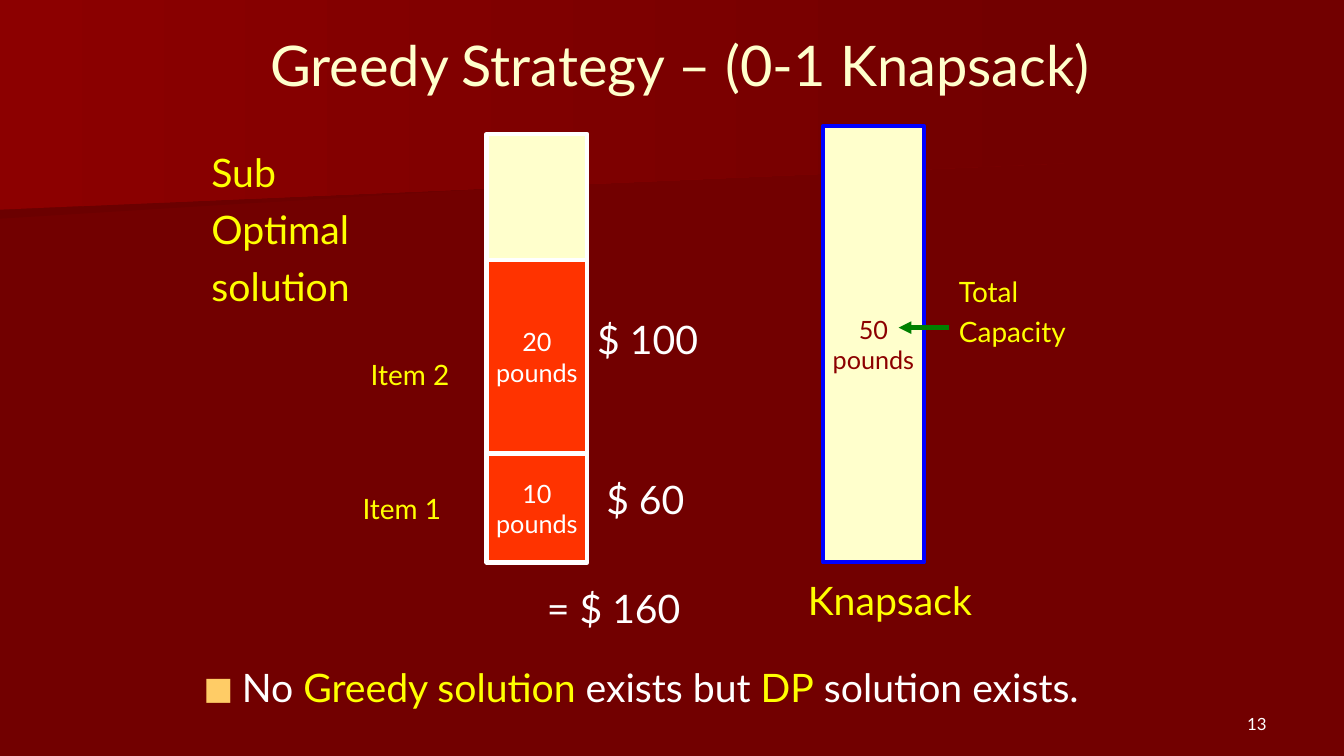
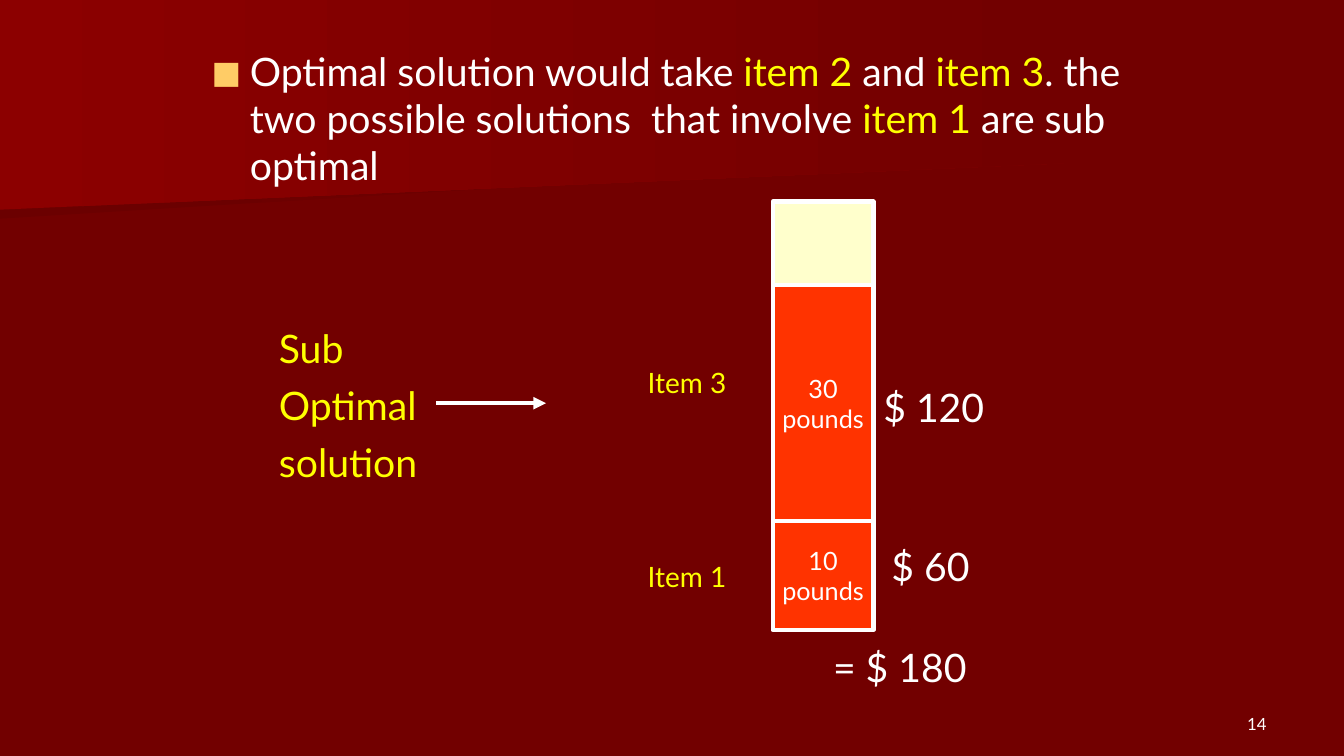
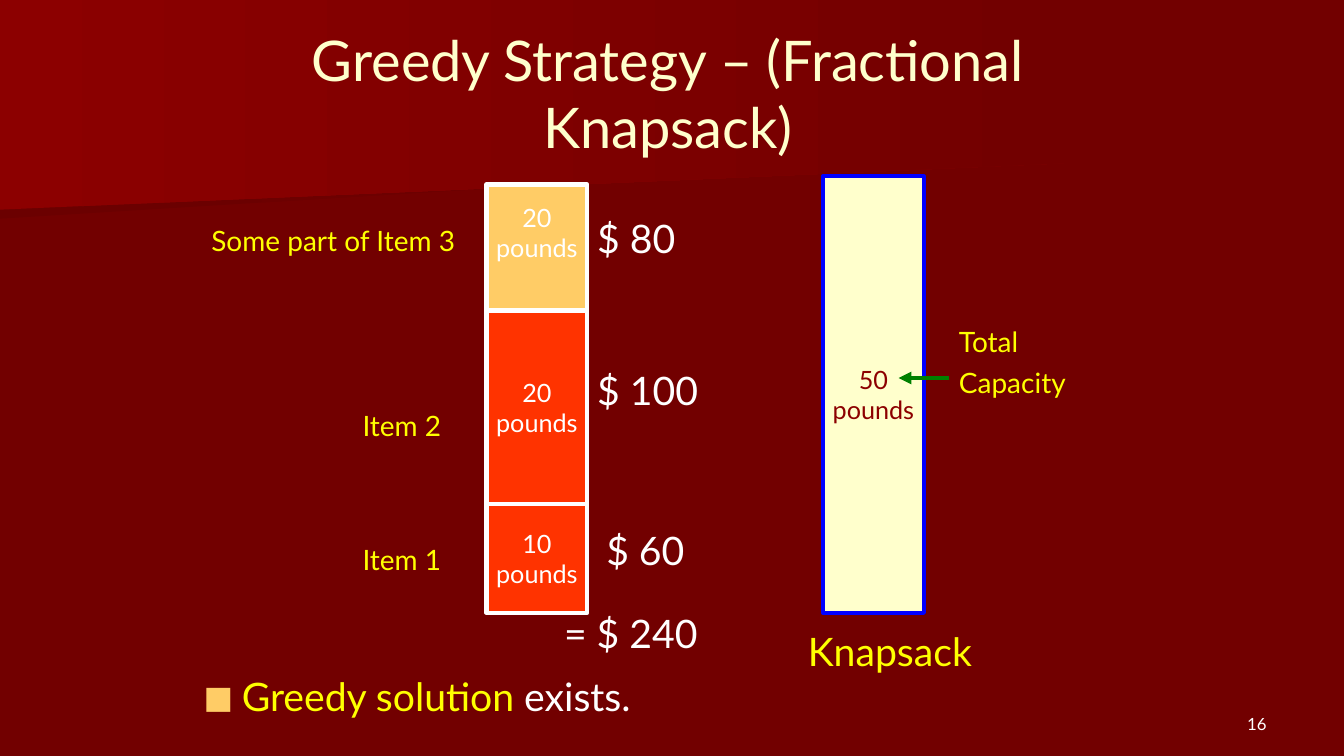
import pptx
import pptx.util
import pptx.dml.color
import pptx.enum.shapes
import pptx.enum.text
import pptx.oxml
import pptx.oxml.ns

PX = 9144
FONT = "Lato"
MAROON, WHITE, YELLOW, CREAM = "720000", "FFFFFF", "FFFF00", "FFFFCC"
RED, GOLD, BLUE, GREEN, DARK_RED = "FF3300", "FFCC66", "0000FF", "008000", "8C0000"
SPACE_BEFORE = {28: 7, 20: 5}
BLOCK_HEIGHT = {10: 108, 20: 192, 30: 234}
BAR_WIDTH, BAR_HEIGHT, CAP_HEIGHT = 100, 425, 125
KNAPSACK_LEFT, KNAPSACK_HEIGHT = 817, 433

BANDS = [
    ("6B0000", [(1037, 153), (0, 217), (0, 101), (1039, 101), (1037, 128)]),
    (DARK_RED, [(1056, 162), (0, 208), (0, 0), (1056, 0)]),
]
SUB_OPTIMAL = ["Sub", "Optimal", "solution"]

SLIDES = [
    {
        "number": "13",
        "title": ("Greedy Strategy – (0-1 Knapsack)", (225, 25, 900, 78)),
        "body": ([("No ", WHITE), ("Greedy solution", YELLOW), (" exists but ", WHITE),
                  ("DP", YELLOW), (" solution exists.", WHITE)], (192, 658, 950, 58), 0.9),
        "bar": (483, 133, [10, 20], CREAM, None),
        "knapsack_top": 125,
        "labels": [
            (["$ 60"], (592, 467, 100, 58), 28, WHITE),
            (["$ 100"], (583, 308, 133, 58), 28, WHITE),
            (["= $ 160"], (533, 575, 175, 58), 28, WHITE),
            (["Item 1"], (350, 483, 108, 58), 20, YELLOW),
            (["Item 2"], (358, 350, 125, 58), 20, YELLOW),
            (SUB_OPTIMAL, (200, 142, 158, 175), 28, YELLOW),
        ],
    },
    {
        "number": "14",
        "body": ([("Optimal solution would take ", WHITE), ("item 2", YELLOW), (" and ", WHITE),
                  ("item 3", YELLOW), (". the two possible solutions  that involve ", WHITE),
                  ("item 1", YELLOW), (" are sub optimal", WHITE)], (200, 42, 933, 167), 1.0),
        "bar": (767, 200, [10, 30], CREAM, None),
        "labels": [
            (["$ 60"], (875, 533, 100, 58), 28, WHITE),
            (["$ 120"], (867, 375, 133, 58), 28, WHITE),
            (["= $ 180"], (817, 633, 175, 58), 28, WHITE),
            (["Item 1"], (633, 550, 108, 58), 20, YELLOW),
            (["Item 3"], (633, 358, 125, 58), 20, YELLOW),
            (SUB_OPTIMAL, (267, 317, 158, 175), 28, YELLOW),
        ],
        "arrow": (433, 542, 400, WHITE),
    },
    {
        "number": "16",
        "title": ("Greedy Strategy – (Fractional Knapsack)", (192, 25, 942, 133)),
        "body": ([("Greedy solution", YELLOW), (" exists.", WHITE)], (192, 667, 950, 58), 0.9),
        "bar": (483, 183, [10, 20], GOLD, 20),
        "knapsack_top": 175,
        "labels": [
            (["$ 60"], (592, 517, 100, 58), 28, WHITE),
            (["$ 100"], (583, 358, 133, 58), 28, WHITE),
            (["$ 80"], (583, 208, 133, 58), 28, WHITE),
            (["= $ 240"], (550, 600, 175, 58), 28, WHITE),
            (["Item 1"], (350, 533, 108, 58), 20, YELLOW),
            (["Item 2"], (350, 400, 125, 58), 20, YELLOW),
            (["Some part of Item 3"], (200, 217, 283, 58), 20, YELLOW),
        ],
    },
]


def rgb(color):
    return pptx.dml.color.RGBColor.from_string(color)


def emu(box):
    return [v * PX for v in box]


def place(sp, box):
    sp.left, sp.top, sp.width, sp.height = emu(box)


def add_run(p, text, size, color):
    r = p.add_run()
    r.text = text
    r.font.name = FONT
    r.font.size = pptx.util.Pt(size)
    r.font.color.rgb = rgb(color)


def write_lines(tf, lines, size, color, align=None):
    for i, line in enumerate(lines):
        p = tf.add_paragraph() if i else tf.paragraphs[0]
        p.alignment = align
        if size in SPACE_BEFORE:
            p.space_before = pptx.util.Pt(SPACE_BEFORE[size])
        add_run(p, line, size, color)


def add_label(s, lines, box, size, color):
    tf = s.shapes.add_textbox(*emu(box)).text_frame
    tf.word_wrap = True
    write_lines(tf, lines, size, color)
    return tf


def add_block(s, box, fill, line, pounds=None, color=WHITE, lift=0):
    sp = s.shapes.add_shape(pptx.enum.shapes.MSO_SHAPE.RECTANGLE, *emu(box))
    sp.shadow.inherit = False
    sp.fill.solid()
    sp.fill.fore_color.rgb = rgb(fill)
    sp.line.color.rgb = rgb(line)
    sp.line.width = pptx.util.Pt(3)
    if pounds:
        tf = sp.text_frame
        tf.word_wrap = False
        tf.vertical_anchor = pptx.enum.text.MSO_ANCHOR.MIDDLE
        tf.margin_bottom = (5 + lift) * PX
        write_lines(tf, [str(pounds), "pounds"], 18, color, pptx.enum.text.PP_ALIGN.CENTER)


def add_arrow(s, x1, x2, y, color):
    line = s.shapes.add_connector(pptx.enum.shapes.MSO_CONNECTOR.STRAIGHT, *emu((x1, y, x2, y)))
    line.line.color.rgb = rgb(color)
    line.line.width = pptx.util.Pt(3)
    ns = pptx.oxml.ns.nsdecls("a")
    line.line._get_or_add_ln().append(pptx.oxml.parse_xml(f'<a:tailEnd {ns} type="triangle"/>'))
    line.element.spPr.append(pptx.oxml.parse_xml(f"<a:effectLst {ns}/>"))


def add_bar(s, left, top, loads, cap_fill, cap_pounds):
    add_block(s, (left, top, BAR_WIDTH, CAP_HEIGHT), cap_fill, WHITE, cap_pounds, lift=30)
    y = top + BAR_HEIGHT
    for pounds in loads:
        height = BLOCK_HEIGHT[pounds]
        y -= height
        add_block(s, (left, y, BAR_WIDTH, height), RED, WHITE, pounds)


def add_knapsack(s, top):
    add_block(s, (KNAPSACK_LEFT, top, BAR_WIDTH, KNAPSACK_HEIGHT), CREAM, BLUE, 50, DARK_RED)
    add_label(s, ["Knapsack"], (792, top + 442, 183, 58), 28, YELLOW)
    add_label(s, ["Total", "Capacity"], (942, top + 142, 133, 92), 20, YELLOW)
    add_arrow(s, 942, 892, top + 200, GREEN)


def fill_title(sp, text, box):
    place(sp, box)
    tf = sp.text_frame
    tf.auto_size = pptx.enum.text.MSO_AUTO_SIZE.NONE
    tf.vertical_anchor = pptx.enum.text.MSO_ANCHOR.MIDDLE
    write_lines(tf, [text], 40, CREAM, pptx.enum.text.PP_ALIGN.CENTER)


def fill_body(sp, runs, box, spacing):
    place(sp, box)
    tf = sp.text_frame
    tf.auto_size = pptx.enum.text.MSO_AUTO_SIZE.NONE
    p = tf.paragraphs[0]
    p.line_spacing = spacing
    p.space_before = pptx.util.Pt(SPACE_BEFORE[28])
    pPr = p._p.get_or_add_pPr()
    pPr.set("marL", str(38 * PX))
    pPr.set("indent", str(-38 * PX))
    ns = pptx.oxml.ns.nsdecls("a")
    for xml in (f'<a:buClr {ns}><a:srgbClr val="{GOLD}"/></a:buClr>',
                f'<a:buSzPct {ns} val="80000"/>',
                f'<a:buFont {ns} typeface="{FONT}"/>',
                f'<a:buChar {ns} char="■"/>'):
        pPr.append(pptx.oxml.parse_xml(xml))
    for text, color in runs:
        add_run(p, text, 28, color)


def add_number(s, number):
    tf = add_label(s, [], (956, 683, 311, 50), 12, WHITE)
    tf.vertical_anchor = pptx.enum.text.MSO_ANCHOR.BOTTOM
    write_lines(tf, [number], 12, WHITE, pptx.enum.text.PP_ALIGN.RIGHT)


def style_master(master, s):
    master.background.fill.solid()
    master.background.fill.fore_color.rgb = rgb(MAROON)
    tree = master.element.cSld.spTree
    for i, (color, points) in enumerate(BANDS):
        outline = s.shapes.build_freeform(*points[0], scale=PX)
        outline.add_line_segments(points[1:], close=True)
        band = outline.convert_to_shape()
        band.shadow.inherit = False
        band.line.fill.background()
        band.fill.gradient()
        band.fill.gradient_angle = 0
        for stop, stop_color, position in zip(band.fill.gradient_stops, (color, MAROON), (0, 1)):
            stop.color.rgb = rgb(stop_color)
            stop.position = position
        band.element.nvSpPr.cNvPr.set("id", str(100 + i))
        tree.insert(2 + i, band.element)


def main():
    prs = pptx.Presentation()
    prs.slide_width, prs.slide_height = emu((1334, 750))
    for i, content in enumerate(SLIDES):
        s = prs.slides.add_slide(prs.slide_layouts[1])
        if i == 0:
            style_master(prs.slide_master, s)
        title, body = s.placeholders
        if "title" in content:
            fill_title(title, *content["title"])
        else:
            title.element.getparent().remove(title.element)
        fill_body(body, *content["body"])
        add_number(s, content["number"])
        if "knapsack_top" in content:
            add_knapsack(s, content["knapsack_top"])
        add_bar(s, *content["bar"])
        for label in content["labels"]:
            add_label(s, *label)
        if "arrow" in content:
            add_arrow(s, *content["arrow"])
    prs.save("out.pptx")


if __name__ == "__main__":
    main()
